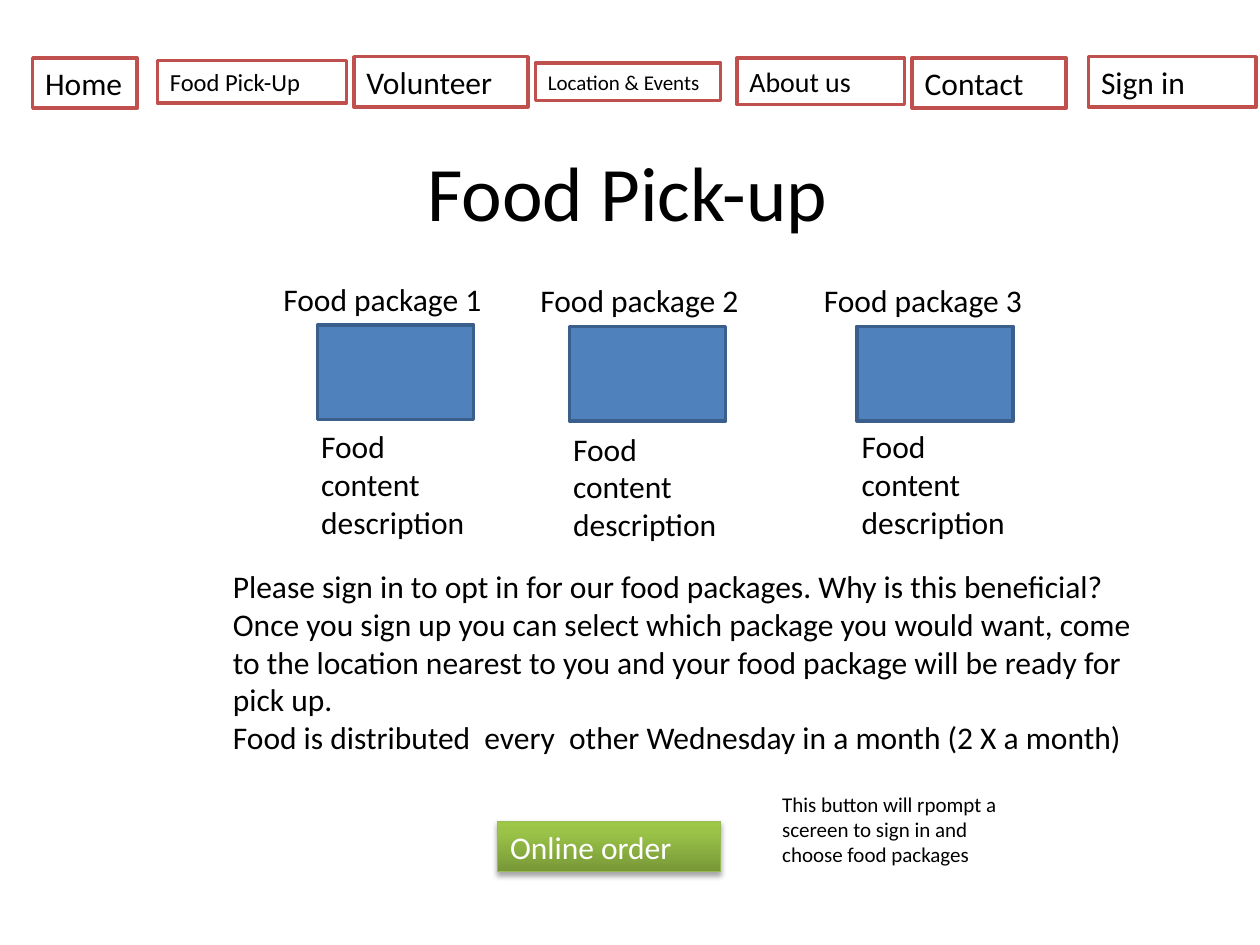
from copy import deepcopy
from dataclasses import dataclass

from lxml import etree
from pptx import Presentation, util as u
from pptx.dml.color import RGBColor
from pptx.enum import shapes, text
from pptx.oxml import ns

COLUMNS, ROWS = 100, 75
FONT = "Calibri"
BLACK = RGBColor(0x00, 0x00, 0x00)
WHITE = RGBColor(0xFF, 0xFF, 0xFF)
RED = RGBColor(0xC0, 0x50, 0x4D)
BLUE = RGBColor(0x4F, 0x81, 0xBD)
NAVY = RGBColor(0x3A, 0x5F, 0x8C)
LIME = RGBColor(0x98, 0xB9, 0x55)
BUTTON_STOPS = (
    (0, RGBColor(0x77, 0x97, 0x37)),
    (0.8, RGBColor(0x9B, 0xC3, 0x48)),
    (1, RGBColor(0x9D, 0xC7, 0x46)),
)

NAV_ITEMS = (
    ("Home", 0, 0.1, 8.3, 4, 18),
    ("Food Pick-Up", 9.9, 0.3, 15, 3.4, 14),
    ("Volunteer", 25.5, 0, 13.8, 4, 18),
    ("Location & Events", 39.9, 0.5, 14.7, 3, 12),
    ("About us", 55.9, 0.1, 13.3, 3.7, 16),
    ("Contact", 69.8, 0.1, 12.2, 4, 18),
    ("Sign in", 83.8, 0, 13.3, 4, 18),
)
PACKAGES = (
    ("Food package 1", 21.5, 21.7, 3.7, 3, 11.7),
    ("Food package 2", 41.9, 21.8, 3.3, 2.6, 11.8),
    ("Food package 3", 64.4, 21.8, 3.6, 3, 11.6),
)
DETAILS = (
    "Please sign in to opt in for our food packages. Why is this beneficial? "
    "Once you sign up you can select which package you would want, come to the "
    "location nearest to you and your food package will be ready for pick up.",
    "Food is distributed  every  other Wednesday in a month (2 X a month)",
)
HINT = "This button will rpompt a scereen to sign in and choose food packages"


@dataclass
class Box:
    """A rectangle in grid columns and rows."""

    left: float
    top: float
    width: float
    height: float

    def inner(self, left, top, width, height):
        """Return a box placed relative to this one."""
        return Box(self.left + left, self.top + top, width, height)

    def lengths(self, deck):
        """Return the box in slide lengths."""
        column, row = deck.slide_width / COLUMNS, deck.slide_height / ROWS
        return (u.Emu(round(self.left * column)), u.Emu(round(self.top * row)),
                u.Emu(round(self.width * column)), u.Emu(round(self.height * row)))


def write(shape, paragraphs, size, color=BLACK, align=text.PP_ALIGN.LEFT,
          anchor=text.MSO_ANCHOR.TOP):
    """Fill a shape with wrapped paragraphs."""
    frame = shape.text_frame
    frame.word_wrap = True
    frame.vertical_anchor = anchor
    for index, words in enumerate(paragraphs):
        para = frame.add_paragraph() if index else frame.paragraphs[0]
        para.alignment = align
        span = para.add_run()
        span.text = words
        span.font.name = FONT
        span.font.size = u.Pt(size)
        span.font.color.rgb = color


def add_text(deck, page, box, paragraphs, size, **style):
    """Add a text box."""
    write(page.shapes.add_textbox(*box.lengths(deck)), paragraphs, size, **style)


def add_rectangle(deck, page, box, fill, line, weight=2):
    """Add an outlined rectangle without a shadow."""
    shape = page.shapes.add_shape(shapes.MSO_SHAPE.RECTANGLE, *box.lengths(deck))
    shape.fill.solid()
    shape.fill.fore_color.rgb = fill
    shape.line.color.rgb = line
    shape.line.width = u.Pt(weight)
    shape.shadow.inherit = False
    return shape


def add_navigation(deck, page, box):
    """Add the row of menu items."""
    for label, left, top, width, height, size in NAV_ITEMS:
        item = add_rectangle(deck, page, box.inner(left, top, width, height), WHITE, RED)
        write(item, [label], size)


def add_package(deck, page, box, name, photo_left, description_left, description_top):
    """Add a package name, its photo area and its description."""
    add_text(deck, page, box.inner(0, 0, box.width, 4), [name], 18)
    add_rectangle(deck, page, box.inner(photo_left, 4.1, 12.4, 7.5), BLUE, NAVY)
    add_text(deck, page, box.inner(description_left, description_top, 13.9, 10.1),
             ["Food content description"], 18)


def shade_button(button):
    """Give the button its gradient and soft shadow."""
    button.fill.gradient()
    button.fill.gradient_angle = 90
    properties = button.element.spPr
    stop_list = properties.find(".//" + ns.qn("a:gsLst"))
    stop_list.append(deepcopy(stop_list[0]))
    for stop, (position, color) in zip(button.fill.gradient_stops, BUTTON_STOPS):
        stop.position = position
        stop.color.rgb = color
    effects = properties.find(ns.qn("a:effectLst"))
    shadow = etree.SubElement(
        effects, ns.qn("a:outerShdw"), blurRad=str(u.Pt(3.1)), dist=str(u.Pt(1.8)),
        dir="5400000", rotWithShape="0")
    color = etree.SubElement(shadow, ns.qn("a:srgbClr"), val=str(BLACK))
    etree.SubElement(color, ns.qn("a:alpha"), val="35000")


def add_order(deck, page, box):
    """Add the order button and the hint beside it."""
    button = add_rectangle(deck, page, box.inner(0, 2.9, 17.7, 4), LIME, LIME, 0.75)
    shade_button(button)
    write(button, ["Online order"], 18, color=WHITE)
    add_text(deck, page, box.inner(21.6, 0, 20, 7.1), [HINT], 12)


def main():
    """Build and save the food pick-up page."""
    deck = Presentation()
    deck.slide_width, deck.slide_height = u.Inches(10), u.Inches(7.5)
    page = deck.slides.add_slide(deck.slide_layouts[6])
    add_text(deck, page, Box(4.8, 10.5, 90, 9.2), ["Food Pick-up"], 44,
             align=text.PP_ALIGN.CENTER, anchor=text.MSO_ANCHOR.MIDDLE)
    add_navigation(deck, page, Box(2.6, 4.5, 97.1, 4.1))
    for name, left, top, *offsets in PACKAGES:
        add_package(deck, page, Box(left, top, 19.9, 21.9), name, *offsets)
    add_text(deck, page, Box(17.5, 44.5, 74.2, 16.2), DETAILS, 18)
    add_order(deck, page, Box(39.5, 62.3, 41.6, 7.1))
    deck.save("out.pptx")


if __name__ == "__main__":
    main()
